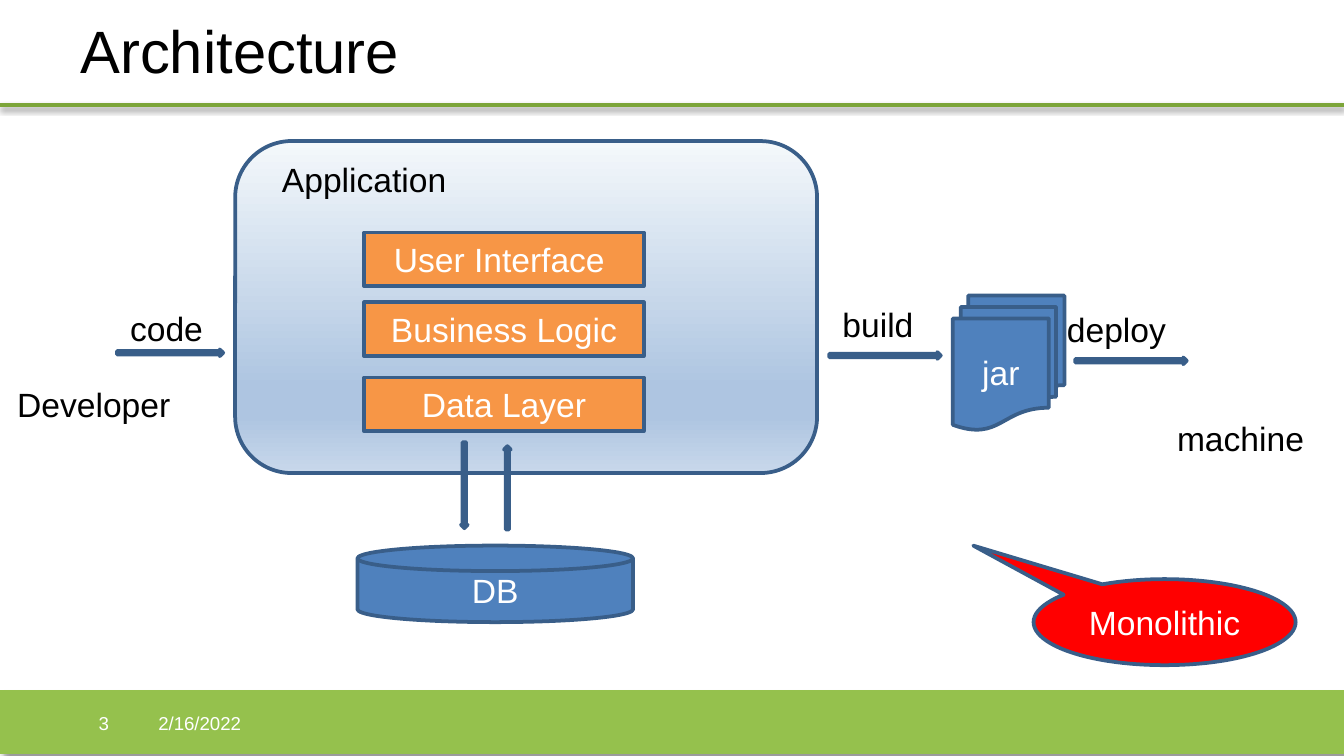
from lxml.etree import SubElement
from pptx import Presentation
from pptx.dml.color import RGBColor
from pptx.enum.shapes import MSO_CONNECTOR, MSO_SHAPE
from pptx.enum.text import MSO_ANCHOR, MSO_AUTO_SIZE, PP_ALIGN
from pptx.oxml import parse_xml
from pptx.oxml.ns import nsdecls, qn
from pptx.util import Inches, Pt

COLORS = {
    "black": "000000",
    "white": "FFFFFF",
    "footer": "95C14D",
    "rule": "7CA539",
    "blue": "4F81BD",
    "outline": "395E89",
    "layer": "F79646",
    "callout": "FF0000",
    "glass_top": "F4F8FB",
    "glass_mid": "AEC5E1",
    "glass_end": "C8D8EB",
}

presentation = Presentation()
presentation.slide_width = Inches(10)
presentation.slide_height = Inches(10) * 9 // 16
slide = presentation.slides.add_slide(presentation.slide_layouts[6])


def write(holder, text, color, size=18, align=PP_ALIGN.LEFT, anchor=MSO_ANCHOR.TOP):
    frame = holder.text_frame
    frame_format = {
        "word_wrap": True,
        "vertical_anchor": anchor,
        "margin_left": Inches(0.1),
        "margin_right": Inches(0.1),
        "margin_top": Inches(0.05),
        "margin_bottom": Inches(0.05),
    }
    for name, value in frame_format.items():
        setattr(frame, name, value)
    paragraph = frame.paragraphs[0]
    paragraph.alignment = align
    run = paragraph.add_run()
    run.text = text
    for name, value in {"name": "Arial", "size": Pt(size)}.items():
        setattr(run.font, name, value)
    run.font.color.rgb = RGBColor.from_string(COLORS[color])


def add_part(kind, box, fill, line="outline", text=None):
    part = slide.shapes.add_shape(kind, *map(Inches, box))
    part.shadow.inherit = False
    part.fill.solid()
    part.fill.fore_color.rgb = RGBColor.from_string(COLORS[fill])
    part.line.color.rgb = RGBColor.from_string(COLORS[line])
    part.line.width = Pt(2)
    if text:
        write(part, text, "white", align=PP_ALIGN.CENTER, anchor=MSO_ANCHOR.MIDDLE)
    return part


footer = add_part(MSO_SHAPE.RECTANGLE, (0, 5.15, 10, 0.45), "footer", "footer")
header_rule = slide.shapes.add_connector(
    MSO_CONNECTOR.STRAIGHT, 0, Inches(0.78), Inches(10), Inches(0.78)
)
header_rule.line.color.rgb = RGBColor.from_string(COLORS["rule"])
header_rule.line.width = Pt(2)
SubElement(header_rule._element.spPr, qn("a:effectLst"))

for band, blur, distance, angle, opacity in [
    (footer, 4, 3, 45, 40),
    (header_rule, 3.1, 1.6, 90, 38),
]:
    effects = band._element.spPr.find(qn("a:effectLst"))
    effects.append(parse_xml(
        f'<a:outerShdw {nsdecls("a")} blurRad="{Pt(blur)}" dist="{Pt(distance)}" '
        f'dir="{angle * 60000}" rotWithShape="0"><a:srgbClr val="{COLORS["black"]}">'
        f'<a:alpha val="{opacity * 1000}"/></a:srgbClr></a:outerShdw>'
    ))

for text, box, color, size, align in [
    ("Architecture", (0.5, 0.01, 7.75, 0.72), "black", 32, PP_ALIGN.LEFT),
    ("2/16/2022", (1.08, 5.23, 1.5, 0.3), "white", 10, PP_ALIGN.LEFT),
    ("3", (0.08, 5.23, 0.83, 0.3), "white", 10, PP_ALIGN.RIGHT),
]:
    heading = slide.shapes.add_textbox(*map(Inches, box))
    write(heading, text, color, size, align, MSO_ANCHOR.MIDDLE)

application = add_part(MSO_SHAPE.ROUNDED_RECTANGLE, (1.75, 1.05, 4.33, 2.47), "glass_mid")
application.adjustments[0] = 0.17
glass_stops = [(0, "glass_top"), (74, "glass_mid"), (83, "glass_mid"), (100, "glass_end")]
stops_xml = "".join(
    f'<a:gs pos="{position * 1000}"><a:srgbClr val="{COLORS[color]}"/></a:gs>'
    for position, color in glass_stops
)
plain_fill = application._element.spPr.find(qn("a:solidFill"))
plain_fill.getparent().replace(plain_fill, parse_xml(
    f'<a:gradFill {nsdecls("a")} rotWithShape="1"><a:gsLst>{stops_xml}</a:gsLst>'
    '<a:lin ang="5400000" scaled="0"/></a:gradFill>'
))

for layer, top in [("User Interface ", 1.73), ("Business Logic", 2.25), ("Data Layer", 2.81)]:
    add_part(MSO_SHAPE.RECTANGLE, (2.71, top, 2.08, 0.4), "layer", text=layer)

add_part(MSO_SHAPE.FLOWCHART_MAGNETIC_DISK, (2.66, 4.06, 2.05, 0.57), "blue", text="DB")
add_part(MSO_SHAPE.FLOWCHART_MULTIDOCUMENT, (7.09, 2.2, 0.83, 1), "blue", text="jar")

for kind, box, rotation in [
    (MSO_SHAPE.RIGHT_ARROW, (0.87, 2.6, 0.79, 0.05), 0),
    (MSO_SHAPE.RIGHT_ARROW, (6.17, 2.62, 0.83, 0.05), 0),
    (MSO_SHAPE.RIGHT_ARROW, (8, 2.66, 0.83, 0.05), 0),
    (MSO_SHAPE.DOWN_ARROW, (3.43, 3.29, 0.05, 0.64), 0),
    (MSO_SHAPE.DOWN_ARROW, (3.75, 3.32, 0.05, 0.62), 180),
]:
    add_part(kind, box, "blue").rotation = rotation

for label, left, top, width in [
    ("Developer", 0.03, 2.81, 1.5),
    ("Application", 2, 1.13, 1.56),
    ("code", 0.87, 2.24, 1.5),
    ("build", 6.17, 2.21, 1.5),
    ("deploy", 7.84, 2.25, 1.5),
    ("machine", 8.66, 3.06, 1.5),
]:
    caption = slide.shapes.add_textbox(*map(Inches, (left, top, width, 0.4)))
    write(caption, label, "black")
    caption.text_frame.auto_size = MSO_AUTO_SIZE.SHAPE_TO_FIT_TEXT

monolithic = add_part(
    MSO_SHAPE.OVAL_CALLOUT, (7.69, 4.31, 1.95, 0.64), "callout", text="Monolithic"
)
monolithic.adjustments[0] = -0.73
monolithic.adjustments[1] = -0.89

presentation.save("out.pptx")
